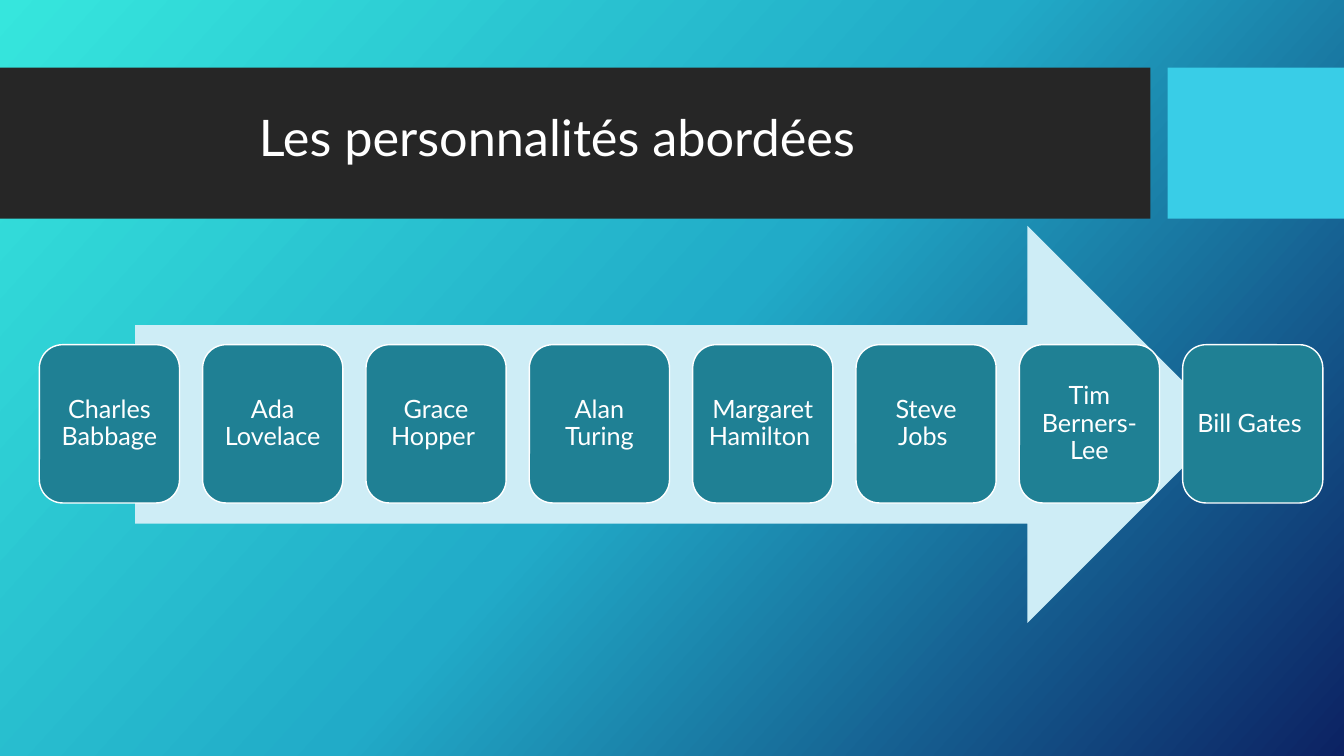
from copy import deepcopy
from pptx import Presentation
from pptx.dml.color import RGBColor as RGB
from pptx.enum.shapes import MSO_SHAPE as Kind
from pptx.enum.text import MSO_ANCHOR as Anchor, PP_ALIGN as Align
from pptx.oxml.ns import qn
from pptx.util import Inches, Pt

HUES = {"mint": "36E6DD", "sea": "21ABC8", "navy": "0C2263", "band": "262626",
        "tab": "39CDE7", "arrow": "CEEDF6", "card": "1F8094", "white": "FFFFFF"}
NAMES = ["Charles Babbage", "Ada Lovelace", "Grace Hopper ", "Alan Turing",
         "Margaret Hamilton ", "Steve Jobs ", "Tim Berners-Lee", "Bill Gates "]

deck = Presentation()
deck.slide_width, deck.slide_height = Inches(13.33), Inches(7.5)
slide = deck.slides.add_slide(deck.slide_layouts[6])


def block(kind, hue, *box):
    shape = slide.shapes.add_shape(kind, *map(Inches, box))
    shape.shadow.inherit = False
    shape.fill.solid()
    shape.fill.fore_color.rgb = RGB.from_string(HUES[hue])
    shape.line.fill.background()
    return shape


def write(frame, text, size, look, para):
    for key, val in look.items():
        setattr(frame, key, val)
    line = frame.paragraphs[0]
    for key, val in para.items():
        setattr(line, key, val)
    run = line.add_run()
    run.text = text
    run.font.name, run.font.size = "Lato", Pt(size)
    run.font.color.rgb = RGB.from_string(HUES["white"])


# Background: three colours running to the lower right
fill = slide.background.fill
fill.gradient()
fill.gradient_angle = 360 - 42
stops = next(slide.element.iter(qn("a:gsLst")))
stops.append(deepcopy(stops[-1]))
for i, (stop, hue) in enumerate(zip(fill.gradient_stops, ["mint", "sea", "navy"])):
    stop.position = i / 2
    stop.color.rgb = RGB.from_string(HUES[hue])

# Title band, side tab and arrow
block(Kind.RECTANGLE, "band", 0, 0.67, 11.41, 1.5)
block(Kind.RECTANGLE, "tab", 11.58, 0.67, 1.75, 1.5)
block(Kind.RIGHT_ARROW, "arrow", 1.34, 2.24, 10.82, 3.94)

# One card per person, on an even pitch
LEFT, PITCH = 0.39, 1.62
pad = {"margin_" + side: Inches(0.07) for side in ["left", "right", "top", "bottom"]}
look = {"word_wrap": True, "vertical_anchor": Anchor.MIDDLE, **pad}
para = {"alignment": Align.CENTER, "line_spacing": 0.9}
for col, name in enumerate(NAMES):
    card = block(Kind.ROUNDED_RECTANGLE, "card", LEFT + col * PITCH, 3.42, 1.39, 1.57)
    card.line.color.rgb = RGB.from_string(HUES["white"])
    card.line.width = Pt(1)
    write(card.text_frame, name, 18, look, para)

# Title
title = slide.shapes.add_textbox(*map(Inches, [2.47, 1, 11.09, 0.71]))
write(title.text_frame, "Les personnalités abordées", 36,
      {"word_wrap": True}, {"alignment": Align.LEFT})

deck.save("out.pptx")
